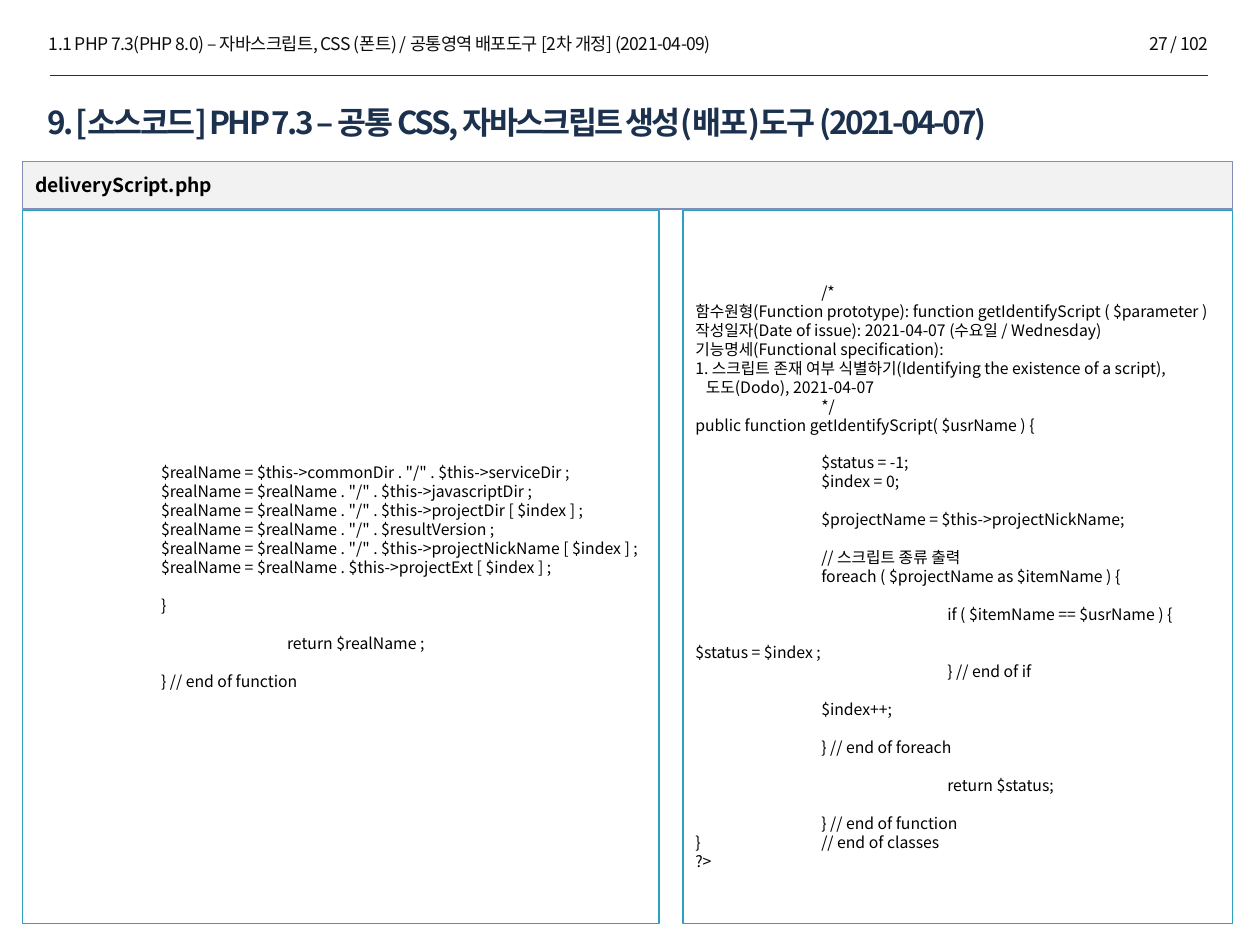
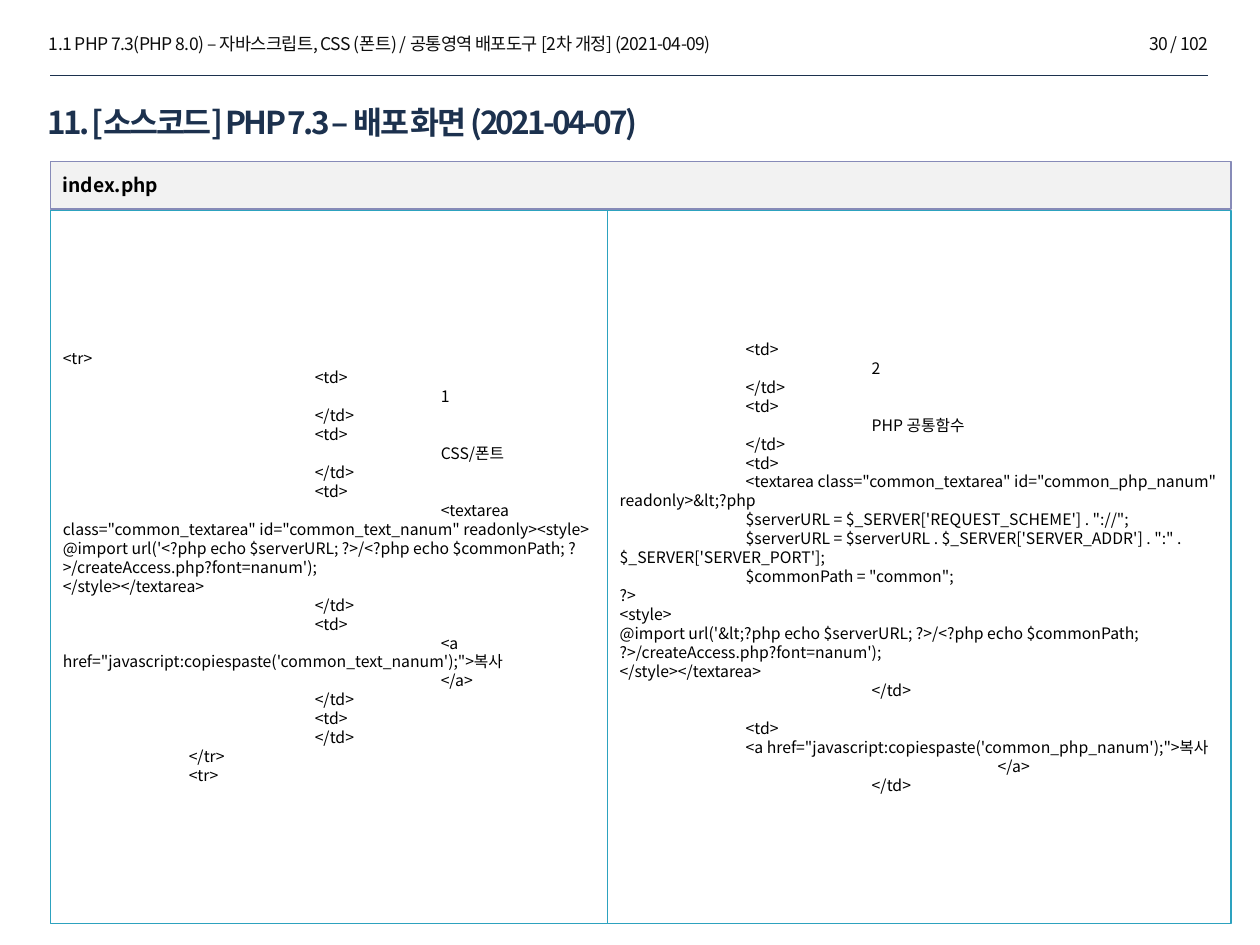
import pptx
import pptx.util
import pptx.dml.color
import pptx.enum.shapes
import pptx.enum.text
import pptx.oxml.ns
from dataclasses import dataclass
from lxml import etree

# ---- Content: code lines are (tab depth, text), GAP is an empty line ----
GAP = None
HEADER = "1.1 PHP 7.3(PHP 8.0) – 자바스크립트, CSS (폰트) / 공통영역 배포도구 [2차 개정] (2021-04-09)"
TOTAL_PAGES = 102

REAL_NAME_CODE = [
    GAP,
    (1, '$realName = $this->commonDir . "/" . $this->serviceDir ;'),
    (1, '$realName = $realName . "/" . $this->javascriptDir ;'),
    (1, '$realName = $realName . "/" . $this->projectDir [ $index ] ;'),
    (1, '$realName = $realName . "/" . $resultVersion ;'),
    (1, '$realName = $realName . "/" . $this->projectNickName [ $index ] ;'),
    (1, '$realName = $realName . $this->projectExt [ $index ] ;'),
    GAP,
    (1, '}'),
    GAP,
    (2, 'return $realName ;'),
    GAP,
    (1, '} // end of function'),
]

IDENTIFY_CODE = [
    GAP,
    (1, '/*'),
    (0, '함수원형(Function prototype): function getIdentifyScript ( $parameter )'),
    (0, '작성일자(Date of issue): 2021-04-07 (수요일 / Wednesday)'),
    (0, '기능명세(Functional specification):'),
    (0, '1. 스크립트 존재 여부 식별하기(Identifying the existence of a script),'),
    (0, '   도도(Dodo), 2021-04-07'),
    (1, '*/'),
    (0, 'public function getIdentifyScript( $usrName ) {'),
    GAP,
    (1, '$status = -1;'),
    (1, '$index = 0;'),
    GAP,
    (1, '$projectName = $this->projectNickName;'),
    GAP,
    (1, '// 스크립트 종류 출력'),
    (1, 'foreach ( $projectName as $itemName ) {'),
    GAP,
    (2, 'if ( $itemName == $usrName ) {'),
    (6, '$status = $index ;'),
    (2, '} // end of if'),
    GAP,
    (1, '$index++;'),
    GAP,
    (1, '} // end of foreach'),
    GAP,
    (2, 'return $status;'),
    GAP,
    (1, '} // end of function'),
    (0, '}\t// end of classes'),
    (0, '?>'),
]

CSS_ROW_CODE = [
    (0, '<tr>'),
    (2, '<td>'),
    (3, '1'),
    (2, '</td>'),
    (2, '<td>'),
    (3, 'CSS/폰트'),
    (2, '</td>'),
    (2, '<td>'),
    (3, '<textarea class="common_textarea" id="common_text_nanum" readonly><style>'),
    (0, "@import url('<?php echo $serverURL; ?>/<?php echo $commonPath; ?>/createAccess.php?font=nanum');"),
    (0, '</style></textarea>'),
    (2, '</td>'),
    (2, '<td>'),
    (3, '<a href="javascript:copiespaste(\'common_text_nanum\');">복사'),
    (3, '</a>'),
    (2, '</td>'),
    (2, '<td>'),
    (2, '</td>'),
    (1, '</tr>'),
    (1, '<tr>'),
]

PHP_ROW_CODE = [
    (1, '<td>'),
    (2, '2'),
    (1, '</td>'),
    (1, '<td>'),
    (2, 'PHP 공통함수'),
    (1, '</td>'),
    (1, '<td>'),
    (1, '<textarea class="common_textarea" id="common_php_nanum" readonly>&lt;?php'),
    (1, "$serverURL = $_SERVER['REQUEST_SCHEME'] . \"://\";"),
    (1, "$serverURL = $serverURL . $_SERVER['SERVER_ADDR'] . \":\" . $_SERVER['SERVER_PORT'];"),
    (1, '$commonPath = "common";'),
    (0, '?>'),
    (0, '<style>'),
    (0, "@import url('&lt;?php echo $serverURL; ?>/<?php echo $commonPath; ?>/createAccess.php?font=nanum');"),
    (0, '</style></textarea>'),
    (2, '</td>'),
    GAP,
    (1, '<td>'),
    (1, '<a href="javascript:copiespaste(\'common_php_nanum\');">복사'),
    (3, '</a>'),
    (2, '</td>'),
]

# panels: (left, width, code) in inches
SLIDES = [
    dict(page=27, title="9. [소스코드] PHP 7.3 – 공통 CSS, 자바스크립트 생성(배포)도구 (2021-04-07)",
         file="deliveryScript.php",
         panels=[(0.18, 5.05, REAL_NAME_CODE), (5.42, 4.36, IDENTIFY_CODE)]),
    dict(page=30, title="11. [소스코드] PHP 7.3 – 배포 화면 (2021-04-07)",
         file="index.php",
         panels=[(0.4, 4.43, CSS_ROW_CODE), (4.82, 4.95, PHP_ROW_CODE)]),
]


# ---- Theme ----
@dataclass(frozen=True)
class Style:
    size: float
    color: str
    bold: bool = False
    spacing: float = 0


class Theme:
    font = "Noto Sans CJK KR"
    header = Style(10, "0D0D0D", spacing=-0.3)
    title = Style(18, "1C314E", True, -1.5)
    file = Style(11, "000000", True)
    code = Style(9, "000000")
    rule = "1C314E"
    panel_fill, panel_line = "FFFFFF", "2DA2BF"
    bar_fill, bar_line = "F2F2F2", "878BB8"
    code_line = 10.85  # height of one code line in points


BAR_TOP, BAR_H = 1.28, 0.38
PANEL_TOP, PANEL_H = 1.67, 5.66
INSET_X, INSET_Y = 0.1, 0.05

Inches, Pt = pptx.util.Inches, pptx.util.Pt
qn = pptx.oxml.ns.qn


def rgb(color):
    return pptx.dml.color.RGBColor.from_string(color)


def write(p, text, style, align=pptx.enum.text.PP_ALIGN.LEFT):
    p.text = text
    p.alignment = align
    pPr = p._p.get_or_add_pPr()
    pPr.set("defTabSz", str(Inches(1)))
    p.font.size = Pt(style.size)
    p.font.bold = style.bold
    p.font.color.rgb = rgb(style.color)
    p.font.name = Theme.font
    rPr = pPr.find(qn("a:defRPr"))
    if style.spacing:
        rPr.set("spc", str(round(style.spacing * 100)))
    etree.SubElement(rPr, qn("a:ea")).set("typeface", Theme.font)


def prepare(tf, anchor):
    tf.word_wrap = True
    tf.vertical_anchor = anchor
    tf.margin_left = tf.margin_right = Inches(INSET_X)
    tf.margin_top = tf.margin_bottom = Inches(INSET_Y)
    return tf


def add_label(s, box, text, style, align=pptx.enum.text.PP_ALIGN.LEFT):
    tb = s.shapes.add_textbox(*map(Inches, box))
    tf = prepare(tb.text_frame, pptx.enum.text.MSO_ANCHOR.TOP)
    write(tf.paragraphs[0], text, style, align)


def add_box(s, box, fill, line):
    sp = s.shapes.add_shape(pptx.enum.shapes.MSO_SHAPE.RECTANGLE, *map(Inches, box))
    sp.shadow.inherit = False
    sp.fill.solid()
    sp.fill.fore_color.rgb = rgb(fill)
    sp.line.color.rgb = rgb(line)
    sp.line.width = Pt(0.75)
    return prepare(sp.text_frame, pptx.enum.text.MSO_ANCHOR.MIDDLE)


def add_code(tf, code):
    gap, first = 0, True
    for line in code:
        if line is GAP:
            gap += Theme.code_line
            continue
        depth, text = line
        p = tf.paragraphs[0] if first else tf.add_paragraph()
        write(p, "\t" * depth + text, Theme.code)
        if first:
            tf.margin_top = Inches(INSET_Y) + Pt(gap)
        elif gap:
            p.space_before = Pt(gap)
        gap, first = 0, False


def add_frame(s, title, page):
    """Header, rule, title and page number shared by every slide."""
    add_label(s, (0.29, 0.21, 8.68, 0.27), HEADER, Theme.header)
    rule = s.shapes.add_connector(pptx.enum.shapes.MSO_CONNECTOR.STRAIGHT,
                                  Inches(0.4), Inches(0.6), Inches(9.59), Inches(0.6))
    rule.line.color.rgb = rgb(Theme.rule)
    rule.line.width = Pt(0.25)
    etree.SubElement(rule._element.spPr, qn("a:effectLst"))
    add_label(s, (0.28, 0.77, 9.31, 0.64), title, Theme.title)
    add_label(s, (7.96, 0.21, 1.73, 0.27), f"{page} / {TOTAL_PAGES}", Theme.header,
              pptx.enum.text.PP_ALIGN.RIGHT)


def main():
    prs = pptx.Presentation()
    prs.slide_width, prs.slide_height = Inches(10), Inches(7.5)
    for content in SLIDES:
        s = prs.slides.add_slide(prs.slide_layouts[6])
        add_frame(s, content["title"], content["page"])

        # Code panels
        for left, width, code in content["panels"]:
            tf = add_box(s, (left, PANEL_TOP, width, PANEL_H), Theme.panel_fill, Theme.panel_line)
            add_code(tf, code)

        # File name bar spans all panels
        left = content["panels"][0][0]
        last_left, last_width, _ = content["panels"][-1]
        tf = add_box(s, (left, BAR_TOP, last_left + last_width - left, BAR_H),
                     Theme.bar_fill, Theme.bar_line)
        write(tf.paragraphs[0], content["file"], Theme.file)
    prs.save("out.pptx")


if __name__ == "__main__":
    main()
